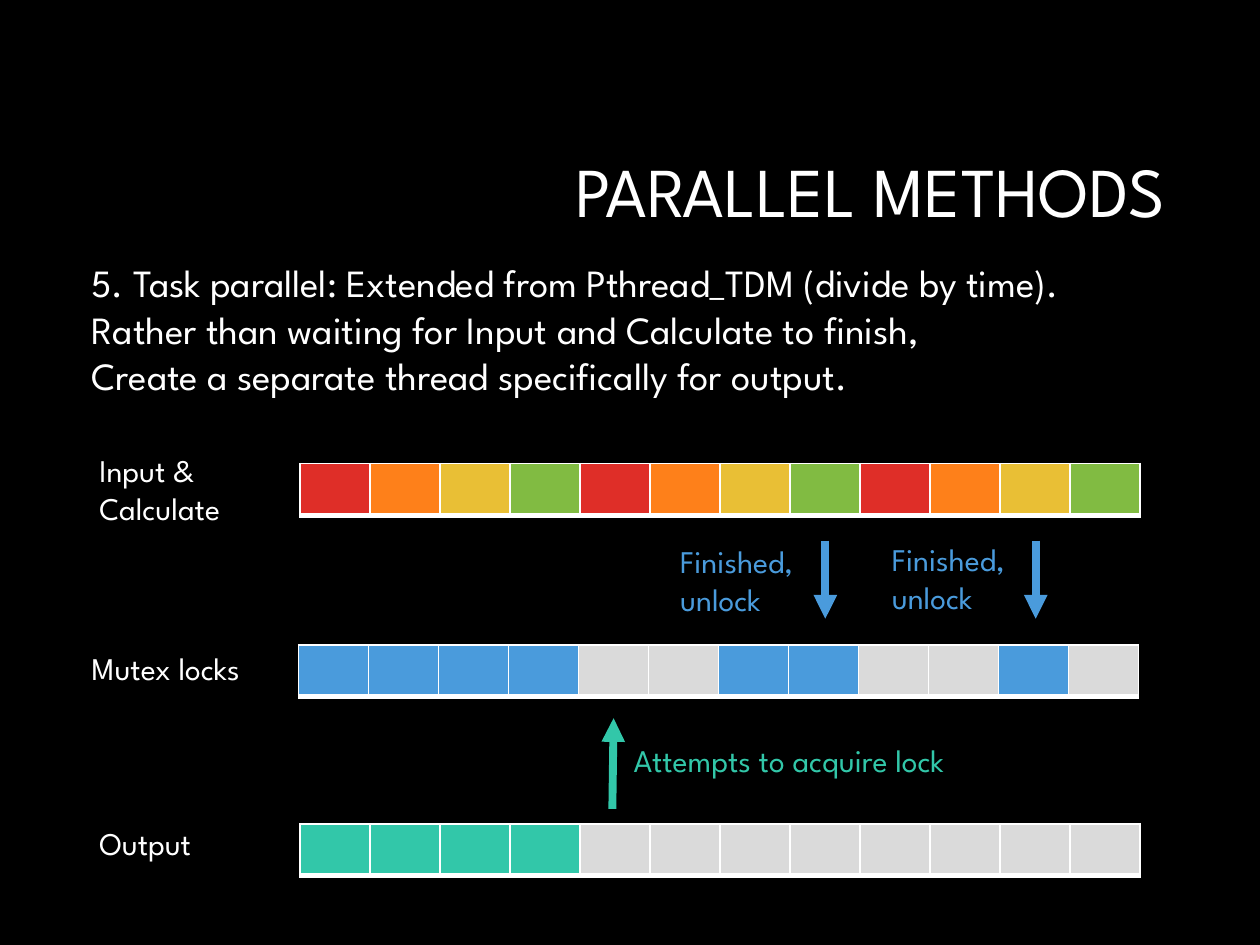
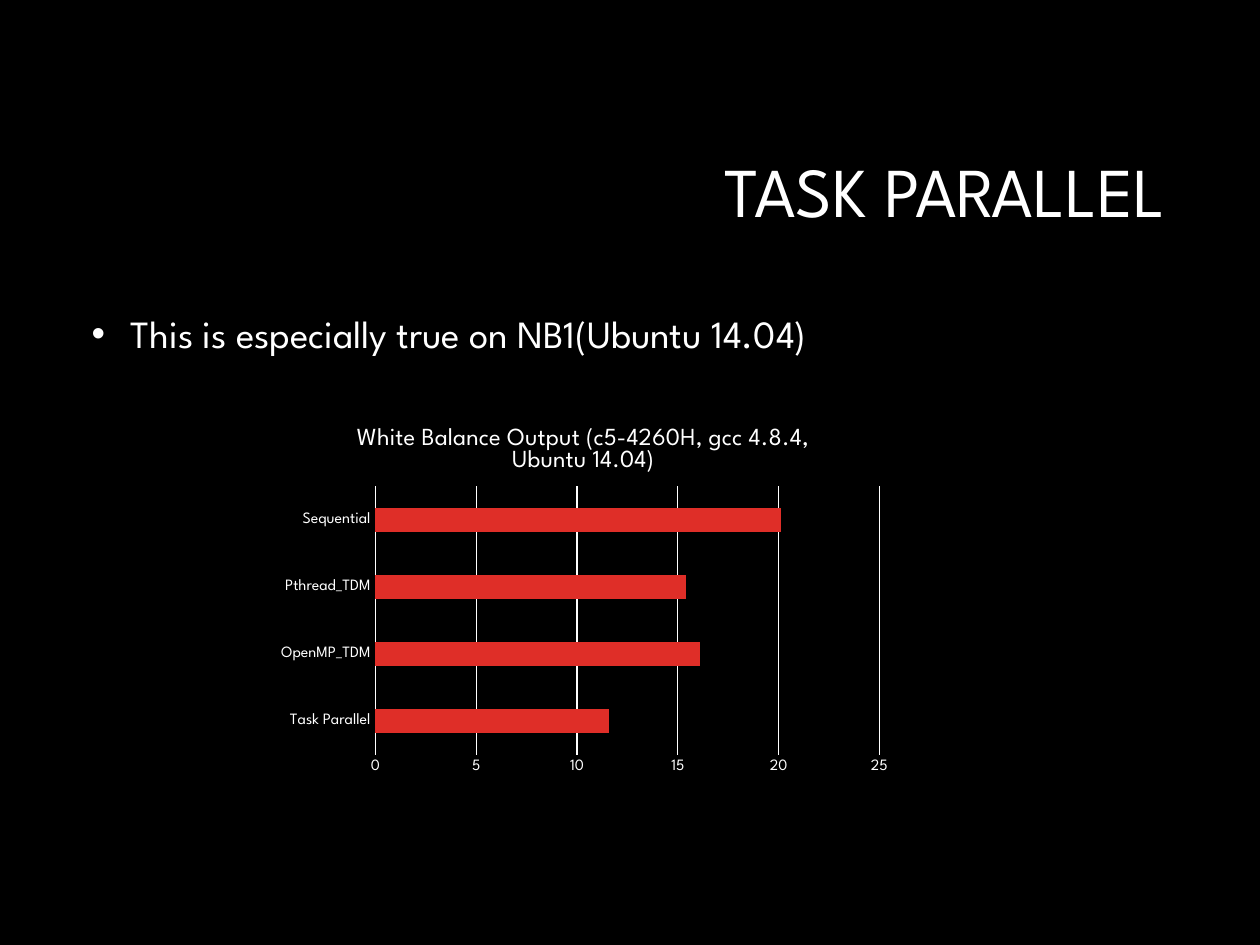
from dataclasses import dataclass

from lxml import etree
from pptx import Presentation
from pptx.chart.data import CategoryChartData
from pptx.dml.color import RGBColor
from pptx.enum.chart import XL_CHART_TYPE, XL_TICK_MARK
from pptx.enum.shapes import MSO_CONNECTOR
from pptx.enum.text import MSO_ANCHOR, MSO_AUTO_SIZE, PP_ALIGN
from pptx.oxml import parse_xml
from pptx.oxml.ns import nsdecls, qn
from pptx.util import Inches, Pt

BAR_CLUSTERED = XL_CHART_TYPE.BAR_CLUSTERED
NO_TICK = XL_TICK_MARK.NONE
STRAIGHT = MSO_CONNECTOR.STRAIGHT
MIDDLE = MSO_ANCHOR.MIDDLE
NO_FIT, GROW = MSO_AUTO_SIZE.NONE, MSO_AUTO_SIZE.SHAPE_TO_FIT_TEXT
RIGHT = PP_ALIGN.RIGHT


@dataclass(frozen=True)
class Theme:
    font: str = "League Spartan"
    background: str = "000000"
    text: str = "FFFFFF"
    red: str = "DF2E28"
    orange: str = "FE801A"
    yellow: str = "E9BF35"
    green: str = "81BB42"
    lock: str = "4A9BDC"
    output: str = "32C7A9"
    idle: str = "DADADA"
    title_size: float = 40
    body_size: float = 22
    label_size: float = 18
    chart_title_size: float = 14
    chart_size: float = 10
    axis_size: float = 9


THEME = Theme()
TITLE_ONLY = 5
SLOTS = 12
SLOT_WIDTH = 6.67 / SLOTS
ROW_HEIGHT = 0.41


def rgb(color):
    return RGBColor.from_string(color)


def style_font(font, size, color=THEME.text):
    font.name = THEME.font
    font.size = Pt(size)
    font.bold = False
    font.color.rgb = rgb(color)


def add_title_slide(deck, heading):
    slide = deck.slides.add_slide(deck.slide_layouts[TITLE_ONLY])
    title = slide.shapes.title
    title.left, title.top = Inches(2.38), Inches(0.84)
    title.width, title.height = Inches(6.97), Inches(1.41)
    frame = title.text_frame
    frame.auto_size = NO_FIT
    frame.vertical_anchor = MIDDLE
    paragraph = frame.paragraphs[0]
    paragraph.alignment = RIGHT
    paragraph.line_spacing = 0.9
    run = paragraph.add_run()
    run.text = heading
    style_font(run.font, THEME.title_size)
    return slide


def add_text(slide, lines, left, top, width, height,
             size=THEME.label_size, color=THEME.text, bullet=False):
    box = slide.shapes.add_textbox(Inches(left), Inches(top),
                                   Inches(width), Inches(height))
    frame = box.text_frame
    frame.word_wrap = False
    frame.auto_size = GROW
    paragraph = frame.paragraphs[0]
    if bullet:
        properties = paragraph._p.get_or_add_pPr()
        indent = Inches(0.31)
        properties.set("marL", str(indent))
        properties.set("indent", str(-indent))
        etree.SubElement(properties, qn("a:buFont")).set("typeface", "Arial")
        etree.SubElement(properties, qn("a:buChar")).set("char", "•")
    for number, line in enumerate(lines):
        if number:
            paragraph.add_line_break()
        run = paragraph.add_run()
        run.text = line
        style_font(run.font, size, color)


def add_cell_border(cell, side, width):
    cell._tc.get_or_add_tcPr().append(parse_xml(
        f'<a:{side} {nsdecls("a")} w="{Pt(width)}"><a:solidFill>'
        f'<a:srgbClr val="{THEME.text}"/></a:solidFill></a:{side}>'))


def add_timeline(slide, colors, left, top):
    """Draw one row of time slots, one cell per colour."""
    table = slide.shapes.add_table(
        1, SLOTS, Inches(left), Inches(top),
        Inches(SLOT_WIDTH * SLOTS), Inches(ROW_HEIGHT)).table
    table.first_row = table.horz_banding = False
    for column, cell, color in zip(table.columns, table.iter_cells(), colors):
        column.width = Inches(SLOT_WIDTH)
        cell.margin_top = cell.margin_bottom = 0
        for side, width in (("lnL", 1), ("lnR", 1), ("lnT", 1), ("lnB", 3)):
            add_cell_border(cell, side, width)
        cell.fill.solid()
        cell.fill.fore_color.rgb = rgb(color)


def add_arrow(slide, start, end, color):
    arrow = slide.shapes.add_connector(
        STRAIGHT, *(Inches(value) for value in (*start, *end)))
    arrow.line.color.rgb = rgb(color)
    arrow.line.width = Pt(4.5)
    etree.SubElement(arrow.line._get_or_add_ln(),
                     qn("a:tailEnd")).set("type", "triangle")
    etree.SubElement(arrow._element.spPr, qn("a:effectLst"))


def set_plot_area(chart, x, y, w, h):
    """Fix the inner plot area, in fractions of the chart."""
    plot_area = chart._chartSpace.chart.plotArea
    for layout in plot_area.findall(qn("c:layout")):
        plot_area.remove(layout)
    layout = etree.Element(qn("c:layout"))
    manual = etree.SubElement(layout, qn("c:manualLayout"))
    values = {"layoutTarget": "inner", "xMode": "edge", "yMode": "edge",
              "x": x, "y": y, "w": w, "h": h}
    for tag, value in values.items():
        etree.SubElement(manual, qn(f"c:{tag}")).set("val", str(value))
    plot_area.insert(0, layout)


def add_bar_chart(slide, heading, timings, left, top, width, height):
    data = CategoryChartData()
    data.categories = list(timings)
    data.add_series("Series 1", list(timings.values()))
    chart = slide.shapes.add_chart(
        BAR_CLUSTERED, Inches(left), Inches(top),
        Inches(width), Inches(height), data).chart
    style_font(chart.font, THEME.chart_size)
    chart.has_legend = False

    # Chart title
    chart.has_title = True
    run = chart.chart_title.text_frame.paragraphs[0].add_run()
    run.text = heading
    style_font(run.font, THEME.chart_title_size)
    chart.chart_title.include_in_layout = False

    # Bars
    plot = chart.plots[0]
    plot.vary_by_categories = False
    plot.gap_width = 182
    bars = plot.series[0].format.fill
    bars.solid()
    bars.fore_color.rgb = rgb(THEME.red)

    # Axes
    for axis in (chart.category_axis, chart.value_axis):
        axis.major_tick_mark = axis.minor_tick_mark = NO_TICK
        style_font(axis.tick_labels.font, THEME.axis_size)
    scale = chart.value_axis
    scale.minimum_scale, scale.maximum_scale, scale.major_unit = 0, 25, 5
    scale.has_major_gridlines = True
    scale.format.line.fill.background()
    for line in (chart.category_axis.format.line,
                 scale.major_gridlines.format.line):
        line.color.rgb = rgb(THEME.text)
        line.width = Pt(0.75)
    set_plot_area(chart, 0.17, 0.21, 0.8, 0.71)


def build_methods_slide(deck):
    slide = add_title_slide(deck, "PARALLEL METHODS")
    add_text(slide, ["5. Task parallel: Extended from Pthread_TDM (divide by time).",
                     "Rather than waiting for Input and Calculate to finish,",
                     "Create a separate thread specifically for output."],
             0.63, 2.01, 9.23, 1.21, THEME.body_size)

    # Input and calculation by four threads in turn
    add_text(slide, ["Input &", "Calculate"], 0.69, 3.53, 1.42, 0.71)
    threads = [THEME.red, THEME.orange, THEME.yellow, THEME.green]
    add_timeline(slide, threads * 3, 2.38, 3.68)

    # Locks, open where a slot has finished
    add_text(slide, ["Mutex locks"], 0.63, 5.1, 1.63, 0.4)
    unlocked = {0, 1, 2, 3, 6, 7, 10}
    add_timeline(slide, [THEME.lock if slot in unlocked else THEME.idle
                         for slot in range(SLOTS)], 2.37, 5.12)
    for arrow_x, label_x, label_y in ((6.55, 5.3, 4.25), (8.22, 6.98, 4.24)):
        add_arrow(slide, (arrow_x, 4.29), (arrow_x, 4.91), THEME.lock)
        add_text(slide, ["Finished,", "unlock"], label_x, label_y, 1.24, 0.71,
                 color=THEME.lock)

    # Output thread, waiting for the fifth lock
    add_text(slide, ["Output"], 0.69, 6.49, 1.07, 0.4)
    written = 4
    add_timeline(slide, [THEME.output] * written
                 + [THEME.idle] * (SLOTS - written), 2.38, 6.54)
    add_arrow(slide, (4.86, 6.42), (4.87, 5.7), THEME.output)
    add_text(slide, ["Attempts to acquire lock"], 4.93, 5.83, 3.24, 0.4,
             color=THEME.output)


def build_timing_slide(deck):
    slide = add_title_slide(deck, "TASK PARALLEL")
    add_bar_chart(slide, "White Balance Output (c5-4260H, gcc 4.8.4, Ubuntu 14.04)",
                  {"Task Parallel": 11.6, "OpenMP_TDM": 16.1,
                   "Pthread_TDM": 15.4, "Sequential": 20.1},
                  2.13, 3.23, 5, 3)
    add_text(slide, ["This is especially true on NB1(Ubuntu 14.04)"],
             0.63, 2.41, 6.83, 0.47, THEME.body_size, bullet=True)


def main():
    deck = Presentation()
    deck.slide_width, deck.slide_height = Inches(10), Inches(7.5)
    backdrop = deck.slide_master.background.fill
    backdrop.solid()
    backdrop.fore_color.rgb = rgb(THEME.background)
    build_methods_slide(deck)
    build_timing_slide(deck)
    deck.save("out.pptx")


if __name__ == "__main__":
    main()
